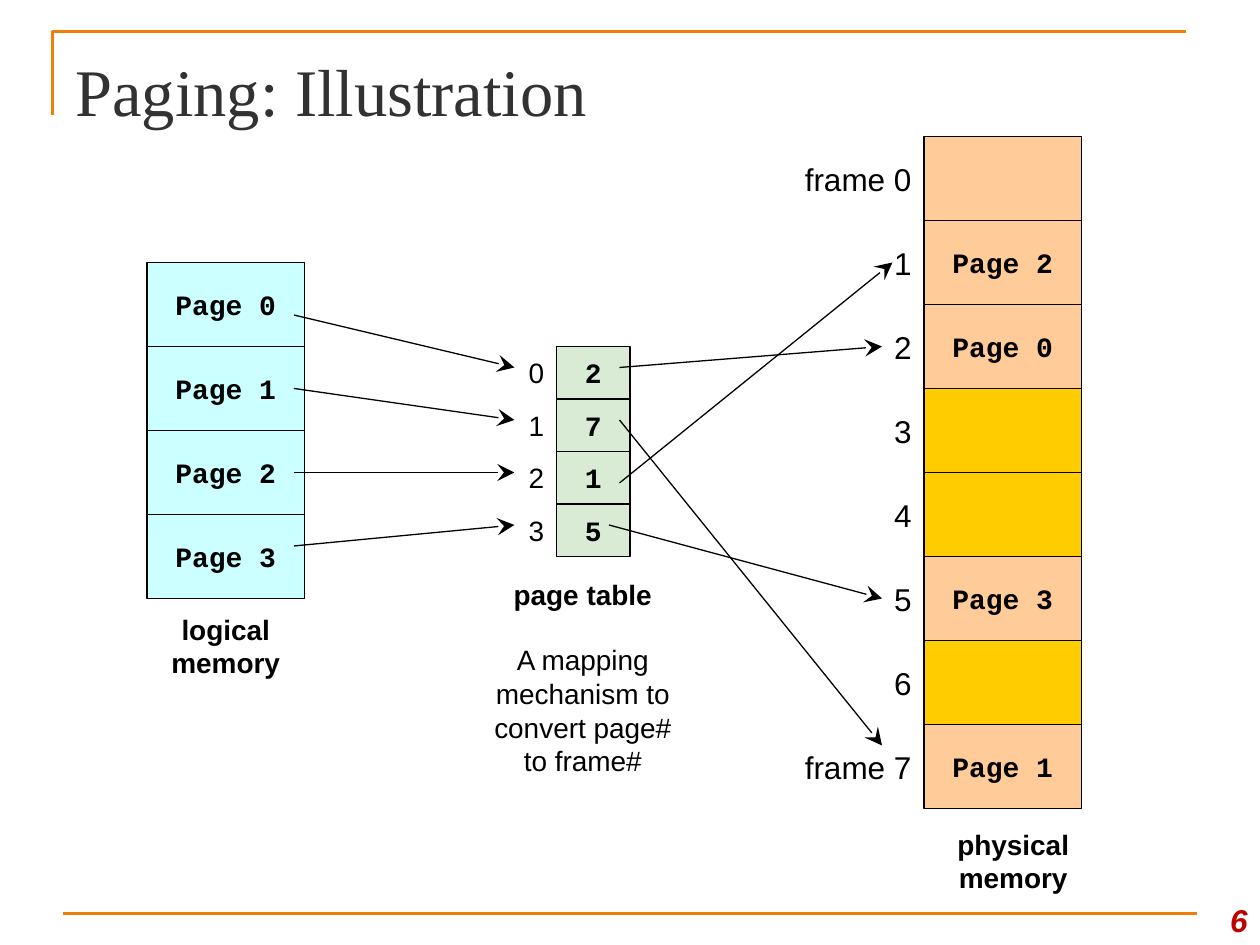
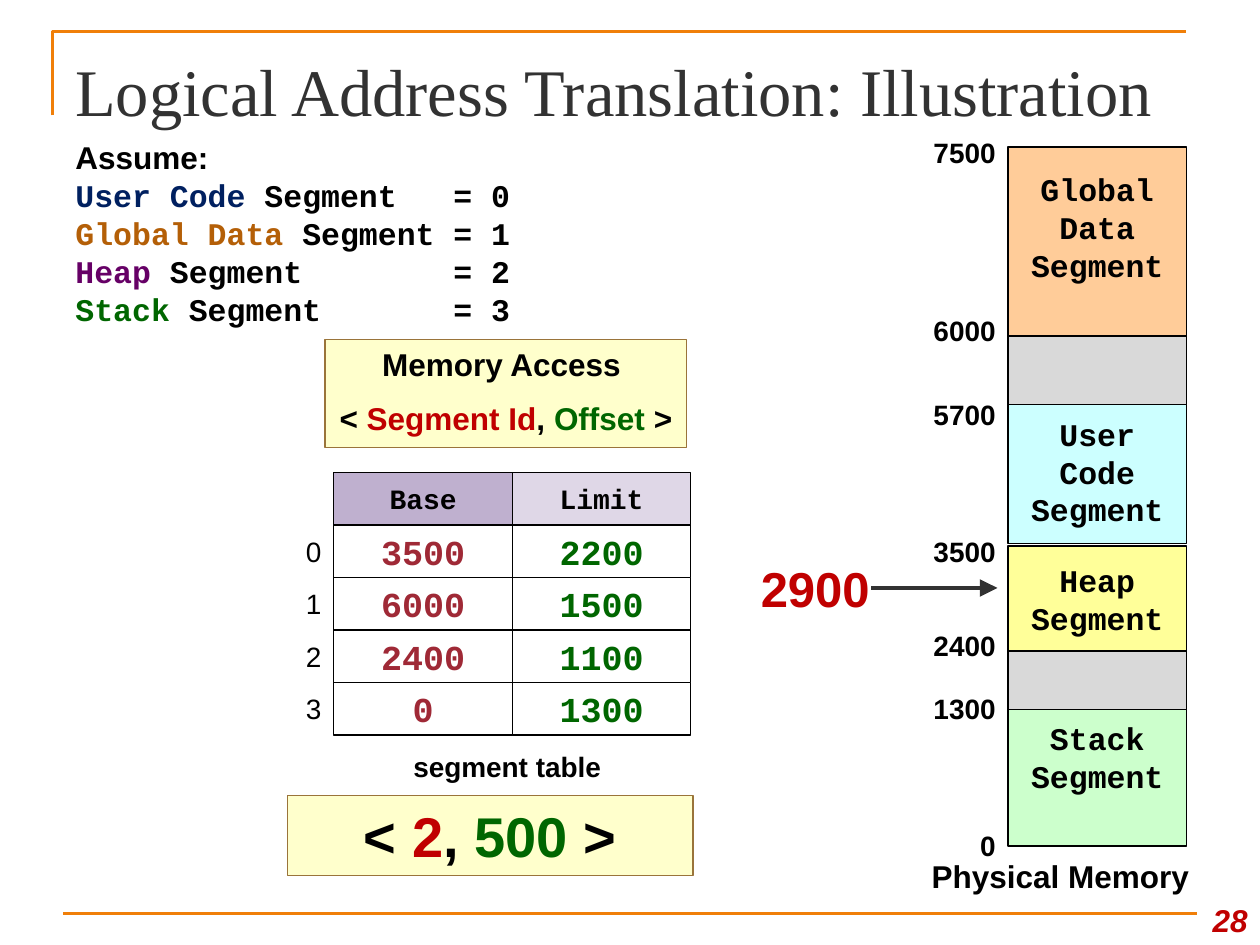
from lxml import etree
from pptx import Presentation
from pptx import util as u
from pptx.dml.color import RGBColor
from pptx.enum import shapes, text
from pptx.oxml.ns import qn

Pt = u.Pt
COLOURS = {
    "black": "000000", "white": "FFFFFF", "ink": "323232", "orange": "F07F09",
    "red": "C00000", "green": "006600", "navy": "002060", "amber": "B45F07",
    "purple": "660066", "maroon": "9F2936", "cyan": "CCFFFF", "peach": "FFCC99",
    "gold": "FFCC00", "sage": "D9EAD5", "mint": "CCFFCC", "yellow": "FFFF99",
    "grey": "D9D9D9", "cream": "FFFFCC", "brown": "9A743A",
    "lilac": "DFD7E7", "violet": "BFB0CF",
}
SANS, MONO, SERIF = "Arial", "Courier New", "Times New Roman"
ALIGN = {"l": text.PP_ALIGN.LEFT, "c": text.PP_ALIGN.CENTER, "r": text.PP_ALIGN.RIGHT}
ANCHOR = {"t": text.MSO_ANCHOR.TOP, "m": text.MSO_ANCHOR.MIDDLE, "b": text.MSO_ANCHOR.BOTTOM}


def colour(name):
    return RGBColor.from_string(COLOURS[name])


class SlideBuilder:
    """Holds the deck, the current page and the shared style."""

    def __init__(self):
        self.deck = Presentation()
        self.deck.slide_width, self.deck.slide_height = Pt(720), Pt(540)
        self.page = None

    def new_page(self, title, number):
        self.page = self.deck.slides.add_slide(self.deck.slide_layouts[6])
        builder = self.page.shapes.build_freeform(Pt(30), Pt(66))
        builder.add_line_segments([(Pt(30), Pt(18)), (Pt(678), Pt(18))], close=False)
        corner = builder.convert_to_shape()
        corner.shadow.inherit = False
        corner.fill.background()
        self.outline(corner, "orange", 1.5)
        self.line((36, 522), (684, 522), "orange", 1.5)
        self.label((36, 21.6, 648, 56.2), title, 38, font=SERIF, ink="ink", anchor="b")
        self.label((678, 504, 42, 36), number, 18, ink="red", bold=True,
                   italic=True, align="r", anchor="b")

    def outline(self, shape, name, width):
        shape.line.color.rgb = colour(name)
        shape.line.width = Pt(width)

    def set_text(self, shape, content, size, font=SANS, ink="black", bold=False, italic=False,
                 align="l", anchor="m", gap=0, tab=None, bottom=3.6):
        """content is a string or a list of paragraphs; a paragraph is a list
        of spans, each a tuple of text and the font values that differ."""
        frame = shape.text_frame
        frame.word_wrap = True
        frame.vertical_anchor = ANCHOR[anchor]
        frame.margin_bottom = Pt(bottom)
        if isinstance(content, str):
            content = [[(content, {})]]
        for index, spans in enumerate(content):
            para = frame.add_paragraph() if index else frame.paragraphs[0]
            if tab:
                stops = etree.SubElement(para._p.get_or_add_pPr(), qn("a:tabLst"))
                etree.SubElement(stops, qn("a:tab"), pos=str(Pt(tab)), algn="l")
            para.alignment = ALIGN[align]
            para.space_before = Pt(gap if index else 0)
            for words, changes in spans:
                span = para.add_run()
                span.text = words
                span.font.name = changes.get("font", font)
                span.font.size = Pt(size)
                span.font.bold = changes.get("bold", bold)
                span.font.italic = italic
                span.font.color.rgb = colour(changes.get("ink", ink))

    def label(self, place, content, size, **style):
        box = self.page.shapes.add_textbox(*map(Pt, place))
        self.set_text(box, content, size, **style)

    def box(self, place, fill, content="", size=16, edge="black", **style):
        box = self.page.shapes.add_shape(shapes.MSO_SHAPE.RECTANGLE, *map(Pt, place))
        box.shadow.inherit = False
        box.fill.solid()
        box.fill.fore_color.rgb = colour(fill)
        self.outline(box, edge, 0.75)
        if content:
            self.set_text(box, content, size,
                          **{"font": MONO, "bold": True, "align": "c", **style})

    def box_column(self, place, cells, **style):
        """Equal boxes from the top down; place is that of the first one."""
        left, top, width, height = place
        for row, (content, fill) in enumerate(cells):
            self.box((left, top + row * height, width, height), fill, content, **style)

    def label_column(self, place, labels, size):
        left, top, width, height = place
        for row, words in enumerate(labels):
            self.label((left, top + row * height, width, height), words, size, align="r")

    def line(self, start, end, name="black", width=0.75, head=None):
        line = self.page.shapes.add_connector(
            shapes.MSO_CONNECTOR.STRAIGHT, *map(Pt, start + end))
        self.outline(line, name, width)
        properties = line._element.spPr
        if head:
            etree.SubElement(properties.find(qn("a:ln")), qn("a:tailEnd"),
                             type=head, w="lg", len="lg")
        etree.SubElement(properties, qn("a:effectLst"))


def paging_page(show):
    show.new_page("Paging: Illustration", "6")
    caption = {"bold": True, "align": "c"}

    # Logical memory
    show.box_column((84, 150, 90, 48), [(f"Page {n}", "cyan") for n in range(4)])
    show.label((66, 342, 126, 54), "logical memory", 16, **caption)

    # Physical memory
    frames = ["", "Page 2", "Page 0", None, None, "Page 3", None, "Page 1"]
    show.box_column((528, 78, 90, 48),
                    [(name, "gold" if name is None else "peach") for name in frames])
    show.label((516, 462, 126, 60), "physical memory", 16, **caption)
    show.label_column((450, 78, 78, 48),
                      ["frame 0", *map(str, range(1, 7)), "frame 7"], 18)

    # Page table
    show.label_column((282, 198, 36, 30), map(str, range(4)), 16)
    show.box_column((318, 198, 42, 30), [(frame, "sage") for frame in "2715"])
    show.label((270, 324, 126, 126), [
        [("page table", {"bold": True})],
        [("A mapping mechanism to convert page# to frame#", {})],
    ], 16, align="c", gap=18.4)

    # Arrows from pages to entries, and from entries to frames
    for page_y, entry_y in [(180, 210), (222, 240), (270, 270), (312, 300)]:
        show.line((168, page_y), (294, entry_y), head="stealth")
    for start, end in [((354, 210), (504, 198)), ((354, 240), (504, 426)),
                       ((354, 276), (510, 150)), ((348, 300), (504, 342))]:
        show.line(start, end, head="stealth")


def segment_page(show):
    show.new_page("Logical Address Translation: Illustration", "28")

    # Segment numbers
    segments = [("User Code", "navy"), ("Global Data", "amber"),
                ("Heap", "purple"), ("Stack", "green")]
    numbers = [[(name, {"ink": ink, "font": MONO}),
                (f" Segment\t= {number}", {"font": MONO})]
               for number, (name, ink) in enumerate(segments)]
    show.label((36, 75.6, 300, 115.2), [[("Assume:", {})], *numbers],
               18, bold=True, anchor="t", tab=216)

    # Segment table
    show.label_column((154.8, 300, 36, 30), map(str, range(4)), 16)
    columns = [("Base", "violet", "maroon", ["3500", "6000", "2400", "0"]),
               ("Limit", "lilac", "green", ["2200", "1500", "1100", "1300"])]
    for index, (heading, fill, ink, values) in enumerate(columns):
        left = 190.8 + index * 102
        show.box((left, 270, 102, 30), fill, heading)
        show.box_column((left, 300, 102, 30), [(value, "white") for value in values],
                        size=20, ink=ink)
    show.label((226.8, 426, 126, 24), "segment table", 16, bold=True, align="c")

    # Memory access notes
    red, green = {"ink": "red"}, {"ink": "green"}
    note = {"edge": "brown", "font": SANS, "anchor": "t", "gap": 9}
    show.box((185.8, 193.8, 206.6, 62), "cream", [
        [("Memory Access ", {})],
        [("< ", {}), ("Segment Id", red), (", ", {}), ("Offset ", green), (">", {})],
    ], 18, **note)
    show.box((164.2, 454.6, 231.8, 45.8), "cream", [
        [("< ", {}), ("2", red), (", ", {}), ("500", green), (" >", {})],
    ], 32, **note)

    # Physical memory: top, height, fill, name, bottom inset
    for top, height, fill, name, bottom in [
        (228, 82.8, "cyan", "User Code Segment", 3.6),
        (402, 81.4, "mint", "Stack Segment", 24),
        (312, 60, "yellow", "Heap Segment", 3.6),
        (84, 111.6, "peach", "Global Data Segment", 24),
        (372, 33.4, "grey", "", 3.6),
        (192, 39.4, "grey", "", 3.6),
    ]:
        show.box((576, top, 102, height), fill, name, 18, bottom=bottom)
    show.label((491.8, 486, 228.2, 28.8), "Physical Memory", 18,
               bold=True, align="c", anchor="t")
    for address, top in [("7500", 78), ("6000", 180), ("5700", 228), ("3500", 306),
                         ("2400", 360), ("1300", 396), ("0", 474)]:
        show.label((522, top, 54, 18), address, 16, bold=True, align="r")

    # Translated address
    show.line((498, 336), (570, 336), "ink", 2, head="triangle")
    show.label((426, 324, 78, 24), "2900", 28, ink="red", bold=True, align="r")


def main():
    show = SlideBuilder()
    paging_page(show)
    segment_page(show)
    show.deck.save("out.pptx")


if __name__ == "__main__":
    main()
